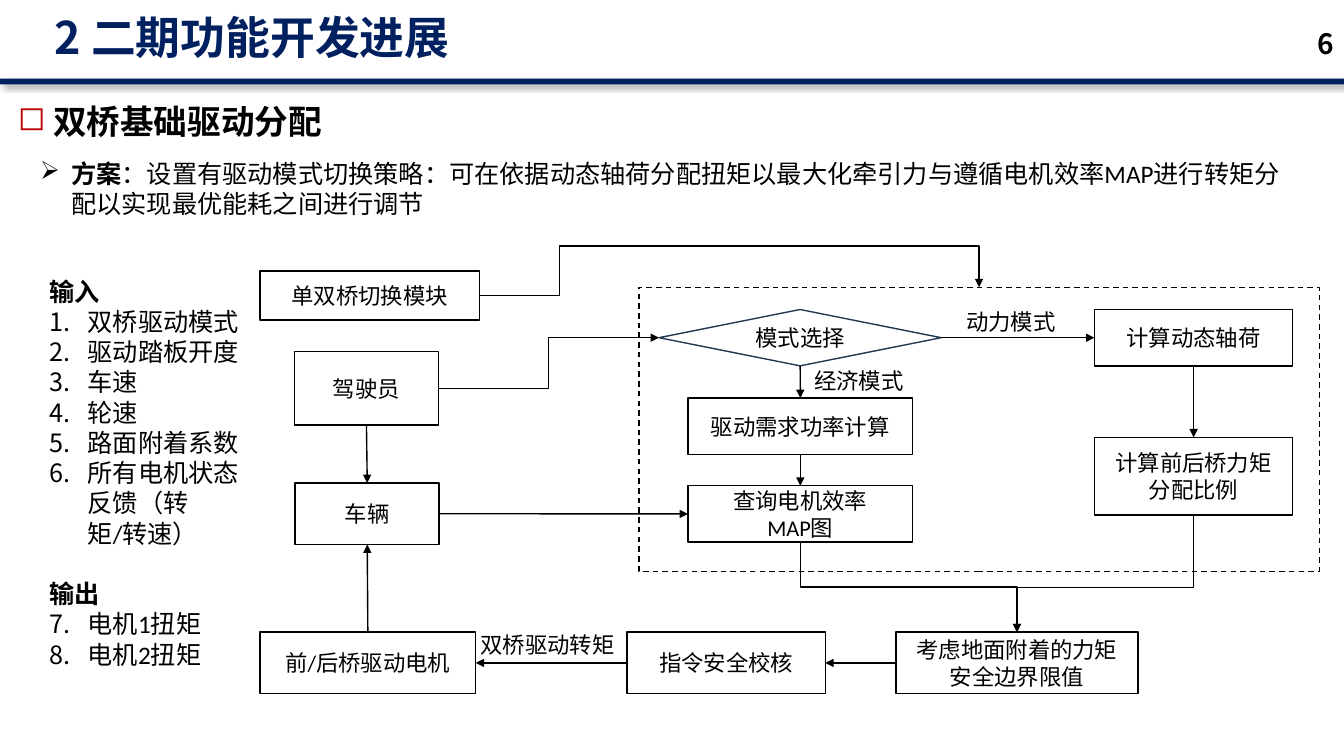
import pptx
import pptx.util
import pptx.dml.color
import pptx.enum.dml
import pptx.enum.shapes
import pptx.enum.text
import pptx.oxml
import pptx.oxml.ns
from dataclasses import dataclass
from lxml import etree

Cm, Pt = pptx.util.Cm, pptx.util.Pt
qn = pptx.oxml.ns.qn
ALIGN, ANCHOR = pptx.enum.text.PP_ALIGN, pptx.enum.text.MSO_ANCHOR
SHAPE, CONNECTOR = pptx.enum.shapes.MSO_SHAPE, pptx.enum.shapes.MSO_CONNECTOR
TOP, LEFT, BOTTOM, RIGHT = range(4)


@dataclass(frozen=True)
class Theme:
    navy: str = "002060"
    black: str = "000000"
    red: str = "C00000"
    diamond: str = "233953"
    heading_font: str = "Noto Sans CJK SC"
    body_font: str = "Calibri"
    title: int = 32
    heading: int = 24
    number: int = 20
    body: int = 18
    box: int = 16


THEME = Theme()
TITLE = "2 二期功能开发进展"
PAGE_NUMBER = "6"
HEADING = "双桥基础驱动分配"
PLAN = ("方案", "：设置有驱动模式切换策略：可在依据动态轴荷分配扭矩以最大化牵引力与遵循电机效率MAP进行转矩分配以实现最优能耗之间进行调节")
SIGNALS = [
    ("输入", ["双桥驱动模式", "驱动踏板开度", "车速", "轮速", "路面附着系数", "所有电机状态反馈（转矩/转速）"]),
    ("输出", ["电机1扭矩", "电机2扭矩"]),
]
BOXES = {
    "driver": (["驾驶员"], 7.42, 8.86, 3.63, 1.85),
    "check": (["指令安全校核"], 15.8, 15.93, 5, 1.55),
    "vehicle": (["车辆"], 7.44, 12.17, 3.63, 1.55),
    "limit": (["考虑地面附着的力矩安全边界限值"], 22.58, 15.93, 6.1, 1.55),
    "motor": (["前/后桥驱动电机"], 6.55, 15.93, 5.44, 1.55),
    "ratio": (["计算前后桥力矩分配比例"], 27.58, 11.02, 5, 1.96),
    "load": (["计算动态轴荷"], 27.58, 7.8, 5, 1.42),
    "mode": (["模式选择"], 16.61, 7.8, 7.11, 1.42),
    "power": (["驱动需求功率计算"], 17.34, 10.03, 5.66, 1.42),
    "map": (["查询电机效率", "MAP图"], 17.34, 12.24, 5.66, 1.42),
    "frame": ([], 16.1, 7.24, 17.15, 7.16),
    "switch": (["单双桥切换模块"], 6.55, 6.83, 5.54, 1.24),
}
LABELS = [
    ("动力模式", 24.1, 7.65, 3.07, 0.94),
    ("经济模式", 20.27, 9.12, 3.07, 0.94),
    ("双桥驱动转矩", 11.86, 15.77, 4.6, 0.94),
]
ARROWS = [
    ("mode", RIGHT, "load", LEFT),
    ("load", BOTTOM, "ratio", TOP),
    ("mode", BOTTOM, "power", TOP),
    ("power", BOTTOM, "map", TOP),
    ("driver", BOTTOM, "vehicle", TOP),
    ("check", LEFT, "motor", RIGHT),
    ("limit", LEFT, "check", RIGHT),
    ("vehicle", RIGHT, "map", LEFT),
    ("motor", TOP, "vehicle", BOTTOM),
]
ELBOWS = [
    ("map", BOTTOM, "limit", TOP, [0.5]),
    ("ratio", BOTTOM, "limit", TOP, [0.62]),
    ("driver", RIGHT, "mode", LEFT, [0.5]),
    ("switch", RIGHT, "frame", TOP, [0.16, 5.95]),
]


def rgb(value):
    """Turn a hex string into a colour."""
    return pptx.dml.color.RGBColor.from_string(value)


def child(parent, tag, **attributes):
    """Append a drawing element to a parent."""
    return etree.SubElement(parent, qn(tag), attributes)


def write(frame, text, *, size=THEME.body, font=THEME.body_font, color=THEME.black, bold=False, lead="",
          align=ALIGN.LEFT, spacing=None, before=0, indent=0, bullet=None, bullet_color=None, start=None):
    """Add one formatted paragraph to a text frame."""
    paragraph = frame.paragraphs[0]
    if paragraph.runs:
        paragraph = frame.add_paragraph()
    paragraph.alignment = align
    if spacing:
        paragraph.line_spacing = spacing
    if before:
        paragraph.space_before = Pt(before)
    properties = paragraph._p.get_or_add_pPr()
    if indent:
        properties.set("marL", str(Cm(indent)))
        properties.set("indent", str(-Cm(indent)))
    if bullet_color:
        child(child(properties, "a:buClr"), "a:srgbClr", val=bullet_color)
    if bullet:
        child(properties, "a:buChar", char=bullet)
    if start:
        child(properties, "a:buAutoNum", type="arabicPeriod", startAt=str(start))
    for words, heavy in ((lead, True), (text, bold)):
        if words:
            run = paragraph.add_run()
            run.text = words
            run.font.size, run.font.bold, run.font.name = Pt(size), heavy, font
            run.font.color.rgb = rgb(color)
            child(run._r.get_or_add_rPr(), "a:ea", typeface=THEME.heading_font)


def add_text_frame(slide, left, top, width, height, anchor=ANCHOR.TOP):
    """Add a wrapping text box and return its frame."""
    frame = slide.shapes.add_textbox(Cm(left), Cm(top), Cm(width), Cm(height)).text_frame
    frame.word_wrap = True
    frame.vertical_anchor = anchor
    return frame


def add_bar(slide):
    """Add the shadowed rule below the title."""
    bar = slide.shapes.add_shape(SHAPE.RECTANGLE, 0, Cm(1.98), Cm(33.87), Cm(0.15))
    bar.fill.solid()
    bar.fill.fore_color.rgb = rgb(THEME.navy)
    bar.line.fill.background()
    bar.shadow.inherit = False
    effects = bar._element.spPr.find(qn("a:effectLst"))
    shadow = child(effects, "a:outerShdw", blurRad=str(Pt(4)), dist=str(Pt(3)), dir="2700000", algn="tl")
    child(child(shadow, "a:srgbClr", val=THEME.black), "a:alpha", val="40000")


def add_box(slide, name, lines, left, top, width, height):
    """Add one outlined box of the flow."""
    kind = SHAPE.FLOWCHART_DECISION if name == "mode" else SHAPE.RECTANGLE
    box = slide.shapes.add_shape(kind, Cm(left), Cm(top), Cm(width), Cm(height))
    box.shadow.inherit = False
    box.fill.background()
    box.line.width = Pt(1)
    box.line.color.rgb = rgb(THEME.diamond if name == "mode" else THEME.black)
    if name == "frame":
        box.line.dash_style = pptx.enum.dml.MSO_LINE.DASH
    box.text_frame.word_wrap = True
    box.text_frame.vertical_anchor = ANCHOR.MIDDLE
    for line in lines:
        write(box.text_frame, line, size=THEME.box, align=ALIGN.CENTER)
    return box


def add_arrow(slide, start, start_side, end, end_side, bends=()):
    """Join two boxes with a straight or bent arrow."""
    kind = CONNECTOR.ELBOW if bends else CONNECTOR.STRAIGHT
    arrow = slide.shapes.add_connector(kind, 0, 0, 0, 0)
    arrow.begin_connect(start, start_side)
    arrow.end_connect(end, end_side)
    arrow.line.width = Pt(1)
    arrow.line.color.rgb = rgb(THEME.black)
    child(arrow.line._get_or_add_ln(), "a:tailEnd", type="triangle")
    properties = arrow._element.spPr
    child(properties, "a:effectLst")
    if not bends:
        return
    geometry = properties.find(qn("a:prstGeom"))
    geometry.set("prst", f"bentConnector{len(bends) + 2}")
    guides = geometry.find(qn("a:avLst"))
    for number, bend in enumerate(bends, 1):
        child(guides, "a:gd", name=f"adj{number}", fmla=f"val {round(bend * 100000)}")
    if start_side == BOTTOM:
        rightward = arrow.end_x > arrow.begin_x
        width, height = arrow.width, arrow.height
        arrow.left += (width - height) // 2
        arrow.top += (height - width) // 2
        arrow.width, arrow.height = height, width
        transform = properties.find(qn("a:xfrm"))
        transform.set("rot", "16200000" if rightward else "5400000")
        transform.set("flipH", "1" if rightward else "0")


def main():
    """Build the slide and save it."""
    presentation = pptx.Presentation()
    presentation.slide_width, presentation.slide_height = Cm(33.87), Cm(19.05)
    slide = presentation.slides.add_slide(presentation.slide_layouts[5])
    add_bar(slide)
    title = slide.shapes.title
    title.left, title.top, title.width, title.height = Cm(1.12), Cm(0.25), Cm(26.59), Cm(1.5)
    title.text_frame.auto_size = pptx.enum.text.MSO_AUTO_SIZE.NONE
    title.text_frame.vertical_anchor = ANCHOR.MIDDLE
    write(title.text_frame, TITLE, size=THEME.title, font=THEME.heading_font, color=THEME.navy, bold=True, spacing=0.9)
    write(add_text_frame(slide, 31.9, 0.58, 1.96, 1.02, ANCHOR.MIDDLE), PAGE_NUMBER, size=THEME.number,
          font=THEME.heading_font, bold=True, align=ALIGN.RIGHT)
    write(add_text_frame(slide, 0.2, 2.11, 13.69, 1.47), HEADING, size=THEME.heading, font=THEME.heading_font,
          bold=True, spacing=1.3, indent=0.89, bullet="◻", bullet_color=THEME.red)
    write(add_text_frame(slide, 0.76, 3.86, 32.16, 1.8), PLAN[1], lead=PLAN[0], indent=0.79, bullet="➢")
    boxes = {name: add_box(slide, name, *content) for name, content in BOXES.items()}
    for start, start_side, end, end_side, *bends in ARROWS + ELBOWS:
        add_arrow(slide, boxes[start], start_side, boxes[end], end_side, *bends)
    for text, *place in LABELS:
        write(add_text_frame(slide, *place), text, size=THEME.box)
    signal_frame = add_text_frame(slide, 0.99, 6.83, 5.28, 10.26)
    first_number = 1
    for group, signals in SIGNALS:
        write(signal_frame, group, bold=True, before=0 if first_number == 1 else 21.6)
        for signal in signals:
            write(signal_frame, signal, indent=0.97, start=first_number)
        first_number += len(signals)
    presentation.save("out.pptx")


if __name__ == "__main__":
    main()
